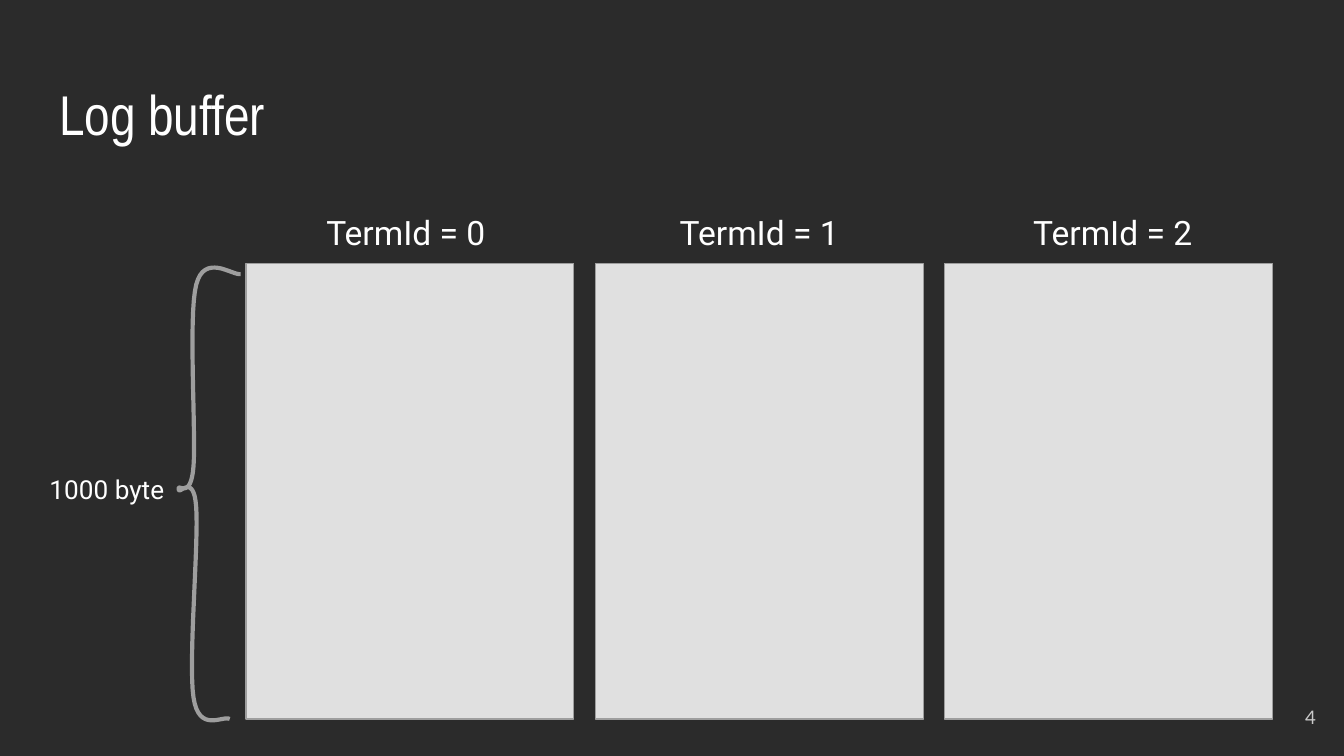
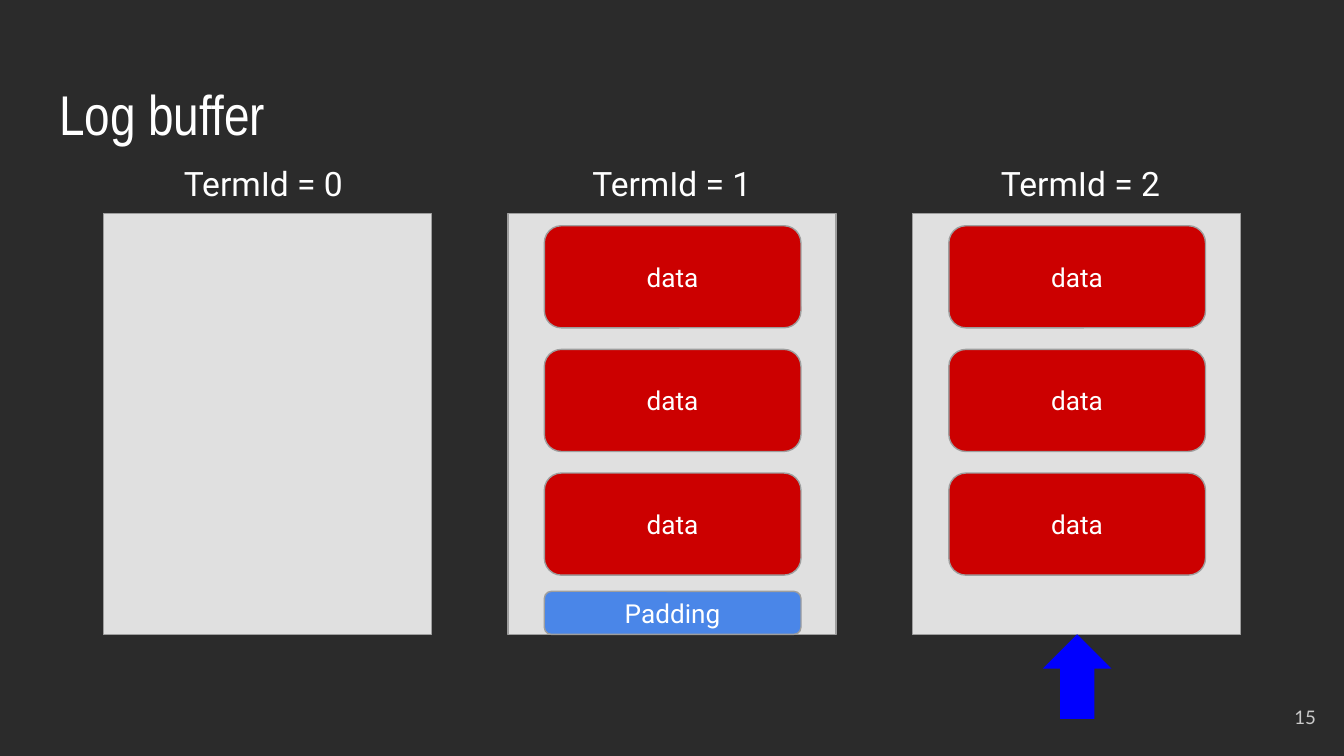
from pptx import Presentation
from pptx.dml.color import RGBColor
from pptx.enum.shapes import MSO_SHAPE
from pptx.enum.text import MSO_ANCHOR, MSO_AUTO_SIZE, PP_ALIGN
from pptx.util import Inches, Pt

BACKGROUND = RGBColor(0x2B, 0x2B, 0x2B)
WHITE = RGBColor(0xFF, 0xFF, 0xFF)
PANEL = RGBColor(0xE0, 0xE0, 0xE0)
OUTLINE = RGBColor(0x9E, 0x9E, 0x9E)
NUMBER = RGBColor(0xCA, 0xCA, 0xCA)
DATA = RGBColor(0xCC, 0x00, 0x00)
PADDING = RGBColor(0x4A, 0x86, 0xE8)
POINTER = RGBColor(0x00, 0x00, 0xFF)

TITLE_FONT, BODY_FONT, NUMBER_FONT = "Arial Narrow", "Roboto", "Lato"
PANEL_WIDTH = 2.44
FRAME_WIDTH = 1.91
FRAME_INSET = 0.27

BRACE_START = (1.79, 2.04)
BRACE_CURVES = [
    ((1.73, 2.05), (1.52, 1.88), (1.46, 2.12)),
    ((1.40, 2.36), (1.46, 3.22), (1.44, 3.47)),
    ((1.42, 3.73), (1.32, 3.59), (1.33, 3.64)),
    ((1.33, 3.69), (1.44, 3.51), (1.46, 3.77)),
    ((1.48, 4.03), (1.40, 4.93), (1.44, 5.19)),
    ((1.48, 5.46), (1.66, 5.32), (1.71, 5.35)),
]


def write(shape, text, size, font=BODY_FONT, color=WHITE,
          align=PP_ALIGN.CENTER, anchor=MSO_ANCHOR.TOP):
    """Put one formatted paragraph into a shape."""
    frame = shape.text_frame
    frame.text = text
    frame.word_wrap = True
    frame.auto_size = MSO_AUTO_SIZE.NONE
    frame.vertical_anchor = anchor
    frame.margin_left = frame.margin_right = Inches(0.1)
    frame.margin_top = frame.margin_bottom = Inches(0.1)
    para = frame.paragraphs[0]
    para.alignment = align
    span = para.runs[0]
    span.font.size = Pt(size)
    span.font.name = font
    span.font.color.rgb = color


def add_label(page, text, left, top, width, height, size, **style):
    """Add a text box with one line of text."""
    box = page.shapes.add_textbox(
        Inches(left), Inches(top), Inches(width), Inches(height))
    write(box, text, size, **style)


def add_block(page, kind, left, top, width, height, fill, outlined=True):
    """Add a filled preset shape, with a thin outline if wanted."""
    block = page.shapes.add_shape(
        kind, Inches(left), Inches(top), Inches(width), Inches(height))
    block.shadow.inherit = False
    block.fill.solid()
    block.fill.fore_color.rgb = fill
    if outlined:
        block.line.color.rgb = OUTLINE
        block.line.width = Pt(0.75)
    else:
        block.line.fill.background()
    return block


def add_frame(page, text, left, top, height, fill):
    """Add a rounded log frame with its caption."""
    frame = add_block(page, MSO_SHAPE.ROUNDED_RECTANGLE,
                      left, top, FRAME_WIDTH, height, fill)
    frame.adjustments[0] = 0.167
    write(frame, text, 14, anchor=MSO_ANCHOR.MIDDLE)


def add_terms(page, middle_left, top, height, pitch):
    """Add the three term panels with their labels and return their lefts."""
    lefts = [middle_left + (term - 1) * pitch for term in range(3)]
    for term, left in enumerate(lefts):
        add_block(page, MSO_SHAPE.RECTANGLE, left, top, PANEL_WIDTH, height, PANEL)
        label_left = left + (term - 1) * 0.03
        add_label(page, f"TermId = {term}", label_left, top - 0.48,
                  PANEL_WIDTH, 0.44, 18)
    return lefts


def curve_points(start, curves, steps=16):
    """Return points along a chain of cubic curves, in EMU."""
    points = []
    for first, second, end in curves:
        for step in range(1, steps + 1):
            t = step / steps
            weights = ((1 - t) ** 3, 3 * t * (1 - t) ** 2, 3 * t ** 2 * (1 - t), t ** 3)
            corners = (start, first, second, end)
            points.append(tuple(
                Inches(sum(weight * corner[axis]
                           for weight, corner in zip(weights, corners)))
                for axis in range(2)))
        start = end
    return points


def add_brace(page):
    """Draw the hand-drawn brace beside the first panel."""
    builder = page.shapes.build_freeform(*(Inches(value) for value in BRACE_START))
    builder.add_line_segments(curve_points(BRACE_START, BRACE_CURVES), close=False)
    brace = builder.convert_to_shape()
    brace.shadow.inherit = False
    brace.fill.background()
    brace.line.color.rgb = OUTLINE
    brace.line.width = Pt(2.25)


def add_page(deck, number):
    """Add a slide with the shared title and its page number."""
    page = deck.slides.add_slide(deck.slide_layouts[5])
    title = page.shapes.title
    title.left, title.top = Inches(0.34), Inches(0.49)
    title.width, title.height = Inches(9.32), Inches(0.63)
    write(title, "Log buffer", 30, font=TITLE_FONT, align=PP_ALIGN.LEFT)
    add_label(page, str(number), 9.29, 5.12, 0.6, 0.43, 10, font=NUMBER_FONT,
              color=NUMBER, align=PP_ALIGN.RIGHT, anchor=MSO_ANCHOR.MIDDLE)
    return page


def build_empty_buffer(deck):
    """Build the slide with three empty terms and their size."""
    page = add_page(deck, 4)
    add_terms(page, 4.43, 1.96, 3.39, 2.6)
    add_label(page, "1000 byte", 0.27, 3.42, 1.16, 0.49, 14, align=PP_ALIGN.LEFT)
    add_brace(page)


def build_filled_buffer(deck):
    """Build the slide with two filled terms, padding and the pointer."""
    page = add_page(deck, 15)
    lefts = add_terms(page, 3.78, 1.59, 3.13, 3.01)
    for left in lefts[1:]:
        for row in range(3):
            add_frame(page, "data", left + FRAME_INSET, 1.68 + row * 0.92, 0.76, DATA)
    add_frame(page, "Padding", lefts[1] + FRAME_INSET, 4.4, 0.32, PADDING)
    add_block(page, MSO_SHAPE.UP_ARROW, 7.76, 4.72, 0.51, 0.63, POINTER, outlined=False)


def main():
    """Build and save the deck."""
    deck = Presentation()
    deck.slide_width, deck.slide_height = Inches(10), Inches(10 * 9 / 16)
    background = deck.slide_master.background.fill
    background.solid()
    background.fore_color.rgb = BACKGROUND
    build_empty_buffer(deck)
    build_filled_buffer(deck)
    deck.save("out.pptx")


if __name__ == "__main__":
    main()
